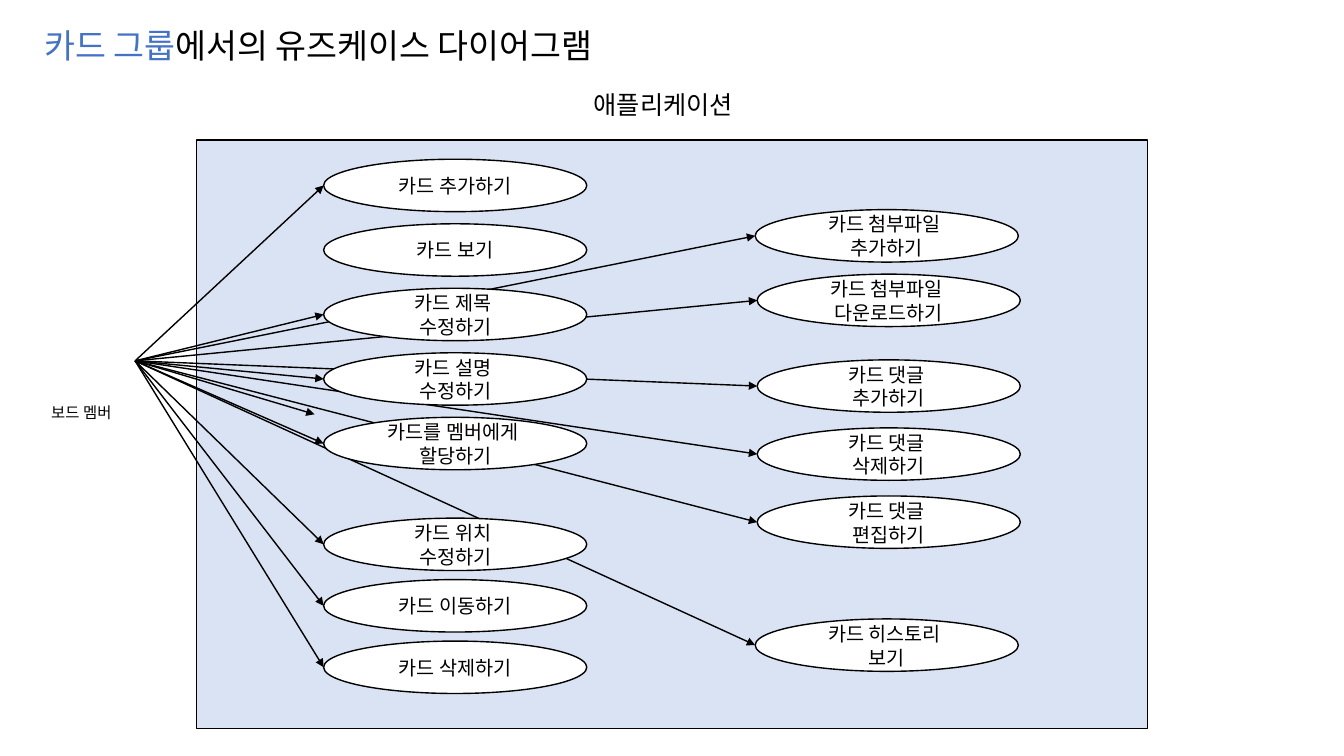
from lxml.etree import SubElement
from pptx import Presentation
from pptx.dml.color import RGBColor
from pptx.enum.shapes import MSO_CONNECTOR as CONNECTOR, MSO_SHAPE as SHAPE
from pptx.enum.text import MSO_ANCHOR as ANCHOR, PP_ALIGN as ALIGN
from pptx.oxml.ns import qn
from pptx.util import Inches, Pt

FONT = "Noto Sans CJK KR"
BLACK, WHITE, BLUE, PALE_BLUE = "000000", "FFFFFF", "4472C4", "DAE3F3"
OVAL_WIDTH, OVAL_HEIGHT = 2.61, 0.52
LEFT_X, RIGHT_X, RIGHT_OUTER_X = 3.21, 7.51, 7.49
ACTOR_POINT = (1.34, 3.58)
LOOSE_ARROW_END = (3.12, 4.11)

labels = [
    ((0.34, 0.2, 7.48, 0.5), 24, [("카드 그룹", BLUE), ("에서의 유즈케이스 다이어그램", BLACK)]),
    ((5.79, 0.83, 1.75, 0.4), 18, [("애플리케이션", BLACK)]),
    ((0.41, 3.95, 0.87, 0.3), 11, [("보드 멤버", BLACK)]),
]
upper_cases = [
    ["카드 추가하기"],
    ["카드 보기"],
    ["카드 제목 ", "수정하기"],
    ["카드 설명 ", "수정하기"],
    ["카드를 멤버에게 ", "할당하기"],
]
lower_cases = [["카드 위치 ", "수정하기"], ["카드 이동하기"], ["카드 삭제하기"]]
comment_cases = [["카드 댓글 ", action] for action in ("추가하기", "삭제하기", "편집하기")]
unlinked_cases = [["카드 보기"]]


def column(cases, left, top, step):
    return [(lines, left, top + step * index) for index, lines in enumerate(cases)]


use_cases = (
    column(upper_cases, LEFT_X, 1.58, 0.64)
    + column(lower_cases, LEFT_X, 5.14, 0.61)
    + [(["카드 첨부파일 ", "추가하기"], RIGHT_OUTER_X, 2.08)]
    + [(["카드 첨부파일 ", "다운로드하기"], RIGHT_X, 2.72)]
    + column(comment_cases, RIGHT_X, 3.57, 0.675)
    + [(["카드 히스토리 ", "보기"], RIGHT_OUTER_X, 6.14)]
)

presentation = Presentation()
presentation.slide_width, presentation.slide_height = Inches(13.33), Inches(7.5)
slide = presentation.slides.add_slide(presentation.slide_layouts[6])


def color(hex_value):
    return RGBColor.from_string(hex_value)


def write(paragraph, runs, size):
    paragraph.line_spacing = Pt(round(size * 1.2))
    for text, hex_value in runs:
        run = paragraph.add_run()
        run.text = text
        run.font.size = Pt(size)
        run.font.name = FONT
        run.font.color.rgb = color(hex_value)
        SubElement(run.font._element, qn("a:ea")).set("typeface", FONT)


def add_label(box, size, runs):
    frame = slide.shapes.add_textbox(*map(Inches, box)).text_frame
    frame.word_wrap = True
    write(frame.paragraphs[0], runs, size)


def add_outlined(kind, box, fill):
    shape = slide.shapes.add_shape(kind, *map(Inches, box))
    shape.shadow.inherit = False
    shape.fill.solid()
    shape.fill.fore_color.rgb = color(fill)
    shape.line.color.rgb = color(BLACK)
    shape.line.width = Pt(1)
    return shape


def add_use_case(lines, left, top):
    oval = add_outlined(SHAPE.OVAL, (left, top, OVAL_WIDTH, OVAL_HEIGHT), WHITE)
    frame = oval.text_frame
    frame.word_wrap = True
    frame.vertical_anchor = ANCHOR.MIDDLE
    for index, line in enumerate(lines):
        paragraph = frame.add_paragraph() if index else frame.paragraphs[0]
        paragraph.alignment = ALIGN.CENTER
        write(paragraph, [(line, BLACK)], 14)


def add_arrow(start, end):
    arrow = slide.shapes.add_connector(CONNECTOR.STRAIGHT, *map(Inches, start + end))
    arrow.line.color.rgb = color(BLACK)
    arrow.line.width = Pt(1)
    SubElement(arrow.line._get_or_add_ln(), qn("a:tailEnd")).set("type", "triangle")
    SubElement(arrow._element.spPr, qn("a:effectLst"))


add_outlined(SHAPE.RECTANGLE, (1.95, 1.39, 9.43, 5.84), PALE_BLUE)
for label in labels:
    add_label(*label)

add_arrow(ACTOR_POINT, LOOSE_ARROW_END)
for lines, left, top in use_cases:
    if lines not in unlinked_cases:
        add_arrow(ACTOR_POINT, (left, top + OVAL_HEIGHT / 2))
for use_case in use_cases:
    add_use_case(*use_case)

presentation.save("out.pptx")
